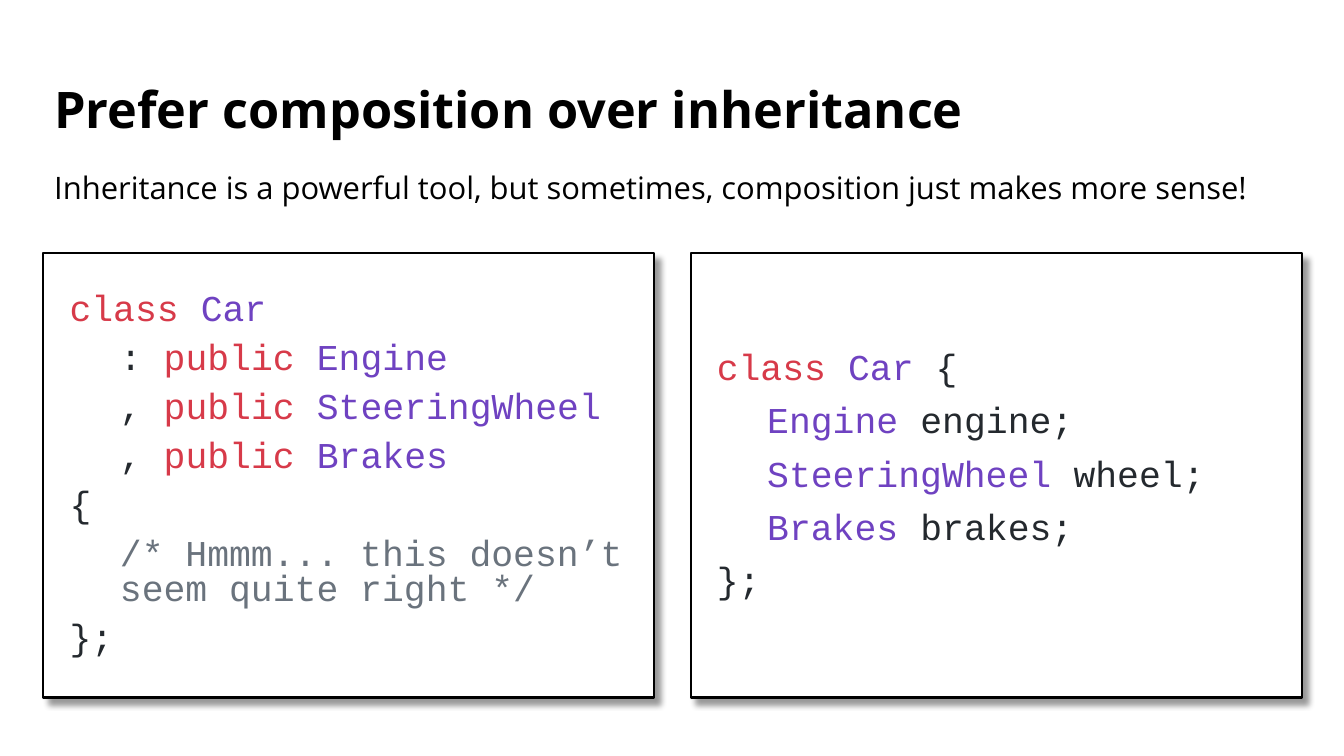
from dataclasses import dataclass

from lxml.etree import SubElement
from pptx import Presentation
from pptx.dml.color import RGBColor
from pptx.enum.shapes import MSO_SHAPE
from pptx.enum.text import MSO_ANCHOR, PP_ALIGN
from pptx.oxml.ns import qn
from pptx.shapes.autoshape import Shape
from pptx.slide import Slide
from pptx.text.text import TextFrame
from pptx.util import Inches, Pt


@dataclass(frozen=True)
class Theme:
    ink: str = "000000"
    paper: str = "FFFFFF"
    key: str = "D73A49"
    kind: str = "6F42C1"
    plain: str = "24292E"
    note: str = "6A737D"
    sans: str = "Open Sans"
    mono: str = "Courier New"
    title: float = 36
    lead: float = 22.1
    code: float = 26


THEME = Theme()
Run = tuple[str, str]


@dataclass(frozen=True)
class Line:
    runs: tuple[Run, ...]
    inset: float = 0.01


@dataclass(frozen=True)
class Panel:
    left: float
    spacing: float
    lines: tuple[Line, ...]


def code(*runs: Run, level: int = 0) -> Line:
    """Make a code line, indented half an inch per level."""
    return Line(runs, 0.01 + 0.5 * level)


def base(mark: str, name: str) -> Line:
    """Make one entry of the base class list."""
    return code((mark, THEME.plain), ("public ", THEME.key),
                (name, THEME.kind), level=1)


def member(kind: str, name: str) -> Line:
    """Make one data member."""
    return code((kind, THEME.kind), (f" {name};", THEME.plain), level=1)


HEAD: tuple[Run, ...] = (("class ", THEME.key), ("Car", THEME.kind))
CLOSE = code(("};", THEME.plain))
PANELS = (
    Panel(0.43, 0.8, (
        code(*HEAD),
        base(": ", "Engine"),
        base(", ", "SteeringWheel"),
        base(", ", "Brakes"),
        code(("{", THEME.plain)),
        code(("/* Hmmm... this doesn’t seem quite right */", THEME.note), level=1),
        CLOSE,
    )),
    Panel(6.85, 0.9, (
        code(*HEAD, (" {", THEME.plain)),
        member("Engine", "engine"),
        member("SteeringWheel", "wheel"),
        member("Brakes", "brakes"),
        CLOSE,
    )),
)


def write(frame: TextFrame, lines: tuple[Line, ...], *, font: str, size: float,
          bold: bool = False, spacing: float = 0.9,
          anchor: MSO_ANCHOR = MSO_ANCHOR.MIDDLE) -> None:
    """Fill a text frame with coloured lines."""
    frame.word_wrap = True
    frame.vertical_anchor = anchor
    for i, line in enumerate(lines):
        para = frame.add_paragraph() if i else frame.paragraphs[0]
        para.alignment = PP_ALIGN.LEFT
        para.line_spacing = spacing
        para.space_before = Pt(10 if i else 0)
        props = para._p.get_or_add_pPr()
        props.set("marL", str(Inches(line.inset)))
        props.set("indent", "0")
        for text, color in line.runs:
            run = para.add_run()
            run.text = text
            run.font.name = font
            run.font.size = Pt(size)
            run.font.bold = bold
            run.font.color.rgb = RGBColor.from_string(color)


def label(slide: Slide, text: str, top: float, height: float, **style) -> None:
    """Add a full-width line of text."""
    box = slide.shapes.add_textbox(
        Inches(0.43), Inches(top), Inches(12.47), Inches(height))
    write(box.text_frame, (Line(((text, THEME.ink),)),), font=THEME.sans, **style)


def shade(shape: Shape) -> None:
    """Give a shape a soft shadow to the lower right."""
    shape.shadow.inherit = False
    effects = shape.element.spPr.find(qn("a:effectLst"))
    outer = SubElement(effects, qn("a:outerShdw"), blurRad=str(Pt(4)),
                       dist=str(Pt(6)), dir=str(45 * 60000), algn="tl", rotWithShape="0")
    color = SubElement(outer, qn("a:srgbClr"), val=THEME.ink)
    SubElement(color, qn("a:alpha"), val="40000")


def draw(slide: Slide, panel: Panel) -> None:
    """Draw a framed code panel."""
    box = slide.shapes.add_shape(
        MSO_SHAPE.RECTANGLE, Inches(panel.left), Inches(2.51), Inches(6.06), Inches(4.41))
    box.fill.solid()
    box.fill.fore_color.rgb = RGBColor.from_string(THEME.paper)
    box.line.color.rgb = RGBColor.from_string(THEME.ink)
    box.line.width = Pt(1.5)
    shade(box)
    frame = box.text_frame
    frame.margin_left = frame.margin_right = Inches(0.25)
    frame.margin_top = frame.margin_bottom = Inches(0.25)
    write(frame, panel.lines, font=THEME.mono, size=THEME.code, spacing=panel.spacing)


def main() -> None:
    deck = Presentation()
    deck.slide_width, deck.slide_height = Inches(13.33), Inches(7.5)
    slide = deck.slides.add_slide(deck.slide_layouts[6])

    # Title and lead sentence
    label(slide, "Prefer composition over inheritance", 0.69, 0.84,
          size=THEME.title, bold=True)
    label(slide, "Inheritance is a powerful tool, but sometimes, "
          "composition just makes more sense!", 1.69, 0.47,
          size=THEME.lead, spacing=0.8, anchor=MSO_ANCHOR.TOP)

    # Inheritance beside composition
    for panel in PANELS:
        draw(slide, panel)

    deck.save("out.pptx")


if __name__ == "__main__":
    main()
